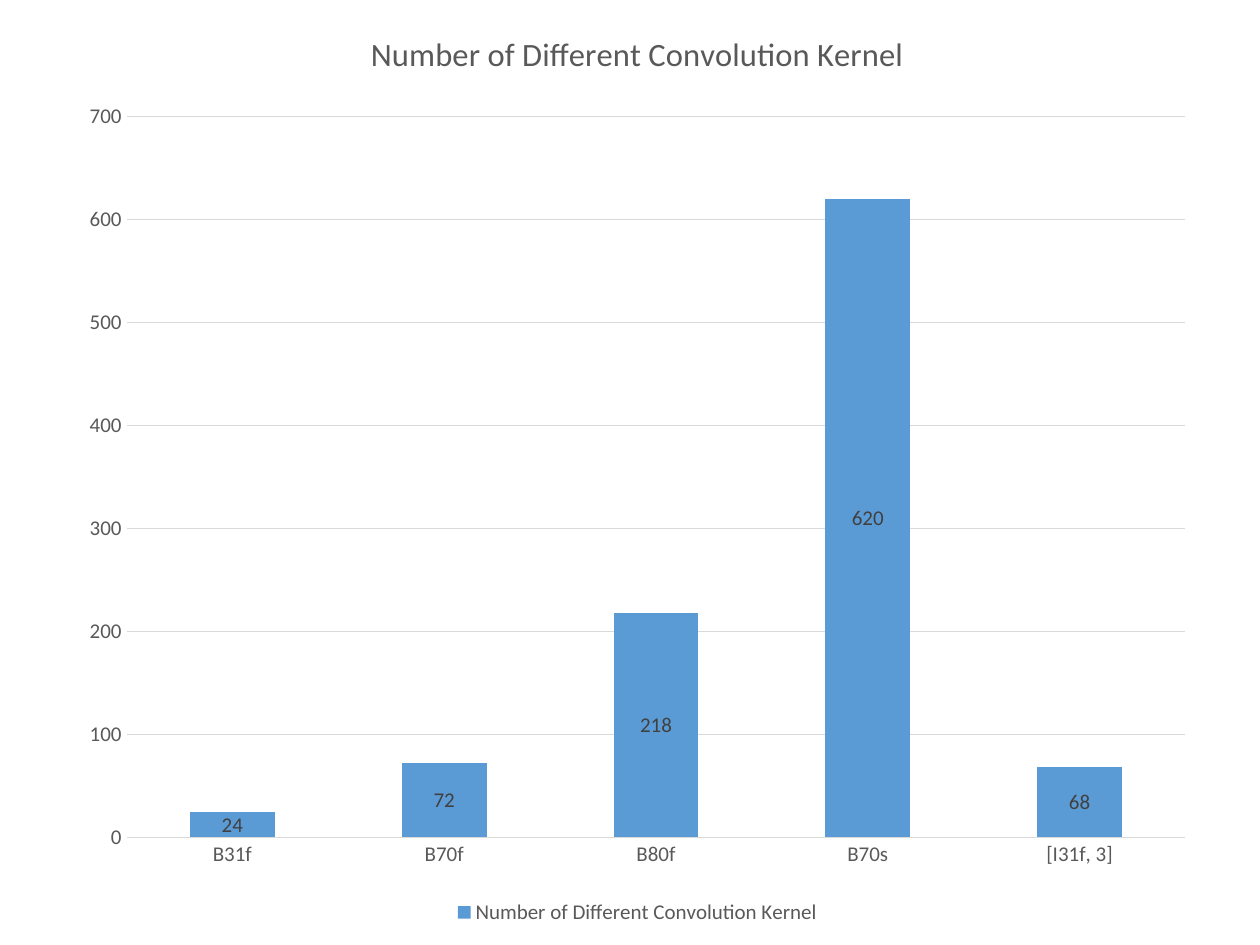
"""Build a slide with one stacked column chart of convolution kernel counts."""
from dataclasses import dataclass

import pptx
import pptx.chart.data
import pptx.dml.color
import pptx.enum.chart
import pptx.util

COLORS = {"bar": "5B9BD5", "text": "595959", "label": "404040", "rule": "D9D9D9"}
FONT = "Calibri"
TITLE = "Number of Different Convolution Kernel"
SLIDE_W = pptx.util.Inches(10)
SLIDE_H = pptx.util.Inches(7.5)


@dataclass(frozen=True)
class Kernel:
    name: str
    count: int


@dataclass(frozen=True)
class Box:
    left: float
    top: float
    width: float
    height: float


KERNELS = [
    Kernel("B31f", 24),
    Kernel("B70f", 72),
    Kernel("B80f", 218),
    Kernel("B70s", 620),
    Kernel("[I31f, 3]", 68),
]
CHART_BOX = Box(0.053, 0, 0.906, 0.984)


def rgb(name: str) -> pptx.dml.color.RGBColor:
    return pptx.dml.color.RGBColor.from_string(COLORS[name])


def style_font(font, size: float = 12, color: str = "text") -> None:
    font.name = FONT
    font.size = pptx.util.Pt(size)
    font.bold = False
    font.color.rgb = rgb(color)


def write_text(tf, text: str, **fmt) -> None:
    r = tf.paragraphs[0].add_run()
    r.text = text
    style_font(r.font, **fmt)


def style_line(line) -> None:
    line.color.rgb = rgb("rule")
    line.width = pptx.util.Pt(0.75)


def style_axes(chart) -> None:
    for axis in (chart.category_axis, chart.value_axis):
        axis.major_tick_mark = pptx.enum.chart.XL_TICK_MARK.NONE
        axis.minor_tick_mark = pptx.enum.chart.XL_TICK_MARK.NONE
        style_font(axis.tick_labels.font)
    style_line(chart.category_axis.format.line)
    value_axis = chart.value_axis
    value_axis.format.line.fill.background()
    value_axis.has_major_gridlines = True
    style_line(value_axis.major_gridlines.format.line)
    value_axis.minimum_scale = 0
    value_axis.maximum_scale = 700
    value_axis.major_unit = 100


def style_bars(plot) -> None:
    plot.vary_by_categories = False
    plot.gap_width = 150
    plot.overlap = 100
    series = plot.series[0]
    series.format.fill.solid()
    series.format.fill.fore_color.rgb = rgb("bar")
    labels = series.data_labels
    labels.show_value = True
    labels.position = pptx.enum.chart.XL_LABEL_POSITION.CENTER
    style_font(labels.font, color="label")


def add_kernel_chart(s, box: Box, kernels: list[Kernel]) -> None:
    data = pptx.chart.data.CategoryChartData()
    data.categories = [k.name for k in kernels]
    data.add_series(TITLE, [k.count for k in kernels])
    chart = s.shapes.add_chart(
        pptx.enum.chart.XL_CHART_TYPE.COLUMN_STACKED,
        int(SLIDE_W * box.left), int(SLIDE_H * box.top),
        int(SLIDE_W * box.width), int(SLIDE_H * box.height), data,
    ).chart
    chart.font.name = FONT
    chart.font.size = pptx.util.Pt(10)
    chart.has_title = True
    write_text(chart.chart_title.text_frame, TITLE, size=18.6)
    chart.chart_title.include_in_layout = False
    chart.has_legend = True
    chart.legend.position = pptx.enum.chart.XL_LEGEND_POSITION.BOTTOM
    chart.legend.include_in_layout = False
    style_font(chart.legend.font)
    style_axes(chart)
    style_bars(chart.plots[0])


def main() -> None:
    prs = pptx.Presentation()
    prs.slide_width, prs.slide_height = SLIDE_W, SLIDE_H
    s = prs.slides.add_slide(prs.slide_layouts[6])
    add_kernel_chart(s, CHART_BOX, KERNELS)
    prs.save("out.pptx")


if __name__ == "__main__":
    main()
